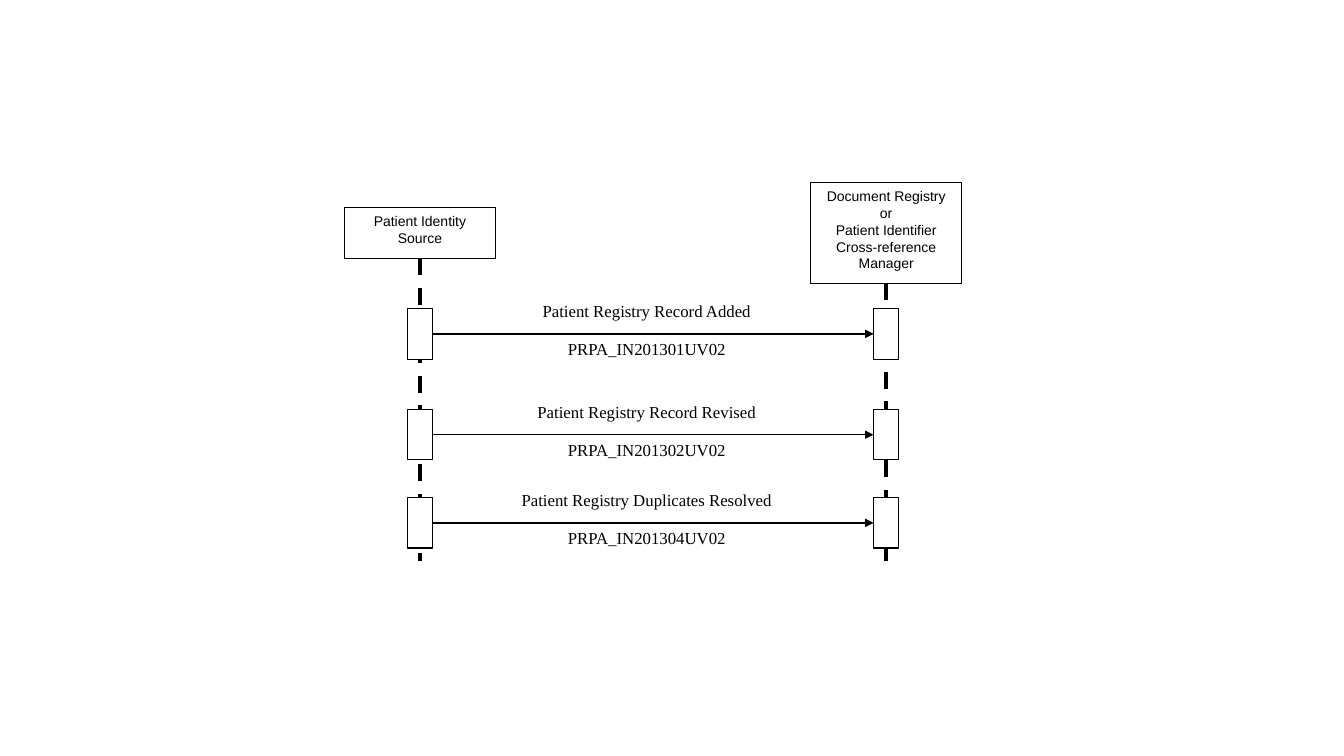
from pptx import Presentation
from pptx.dml.color import RGBColor
from pptx.enum.dml import MSO_LINE
from pptx.enum.shapes import MSO_CONNECTOR, MSO_SHAPE
from pptx.enum.text import MSO_ANCHOR, PP_ALIGN
from pptx.oxml.ns import qn
from pptx.util import Emu, Pt
from lxml import etree

RECT, STRAIGHT = MSO_SHAPE.RECTANGLE, MSO_CONNECTOR.STRAIGHT
DASH, TOP, CENTER = MSO_LINE.DASH, MSO_ANCHOR.TOP, PP_ALIGN.CENTER
LEFT_SIDE, BOTTOM_SIDE, RIGHT_SIDE = 1, 2, 3

COLORS = {"ink": "000000", "paper": "FFFFFF"}
ACTOR_FONT = {"name": "Arial", "size": Pt(10)}
MESSAGE_FONT = {"name": "Times New Roman", "size": Pt(12)}

# Lengths in px, 96 to the inch
ACTOR_W = 144
BAR_W, BAR_H = 24, 48
LABEL_X, LABEL_W, LABEL_H = 460, 312, 36
LIFELINE_END = 534

# Actor: text, lifeline x, top, height
ACTORS = [
    ("Patient Identity Source", 400, 198, 48),
    ("Document Registry or\nPatient Identifier Cross-reference Manager", 844, 174, 96),
]
# Message: bar top, name, interaction id
MESSAGES = [
    (294, "Patient Registry Record Added", "PRPA_IN201301UV02"),
    (390, "Patient Registry Record Revised", "PRPA_IN201302UV02"),
    (474, "Patient Registry Duplicates Resolved", "PRPA_IN201304UV02"),
]


def px(n):
    return Emu(n * 9525)


def color(name):
    return RGBColor.from_string(COLORS[name])


def add_box(slide, x, y, w, h, text="", font=None, outlined=True):
    sp = slide.shapes.add_shape(RECT, px(x), px(y), px(w), px(h))
    sp.shadow.inherit = False
    sp.fill.solid()
    sp.fill.fore_color.rgb = color("paper")
    if outlined:
        sp.line.color.rgb = color("ink")
        sp.line.width = Pt(0.75)
    else:
        sp.line.fill.background()
    if text:
        tf = sp.text_frame
        tf.word_wrap = True
        tf.vertical_anchor = TOP
        p = tf.paragraphs[0]
        p.text = text
        p.alignment = CENTER
        for r in p.runs:
            r.font.color.rgb = color("ink")
            for name, value in font.items():
                setattr(r.font, name, value)
    return sp


def add_line(slide, x1, y1, x2, y2, width):
    line = slide.shapes.add_connector(STRAIGHT, px(x1), px(y1), px(x2), px(y2))
    line.line.color.rgb = color("ink")
    line.line.width = Pt(width)
    etree.SubElement(line._element.spPr, qn("a:effectLst"))
    return line


def add_lifeline(slide, actor, x, top):
    line = add_line(slide, x, top, x, LIFELINE_END, 3)
    line.line.dash_style = DASH
    line.begin_connect(actor, BOTTOM_SIDE)


def add_arrow(slide, source, target, x1, x2, y):
    line = add_line(slide, x1, y, x2, y, 1)
    etree.SubElement(line.line._get_or_add_ln(), qn("a:tailEnd"), type="triangle")
    line.begin_connect(source, RIGHT_SIDE)
    line.end_connect(target, LEFT_SIDE)


def main():
    prs = Presentation()
    prs.slide_width, prs.slide_height = px(1280), px(720)
    slide = prs.slides.add_slide(prs.slide_layouts[6])

    # Actors and their lifelines
    for text, x, top, h in ACTORS:
        actor = add_box(slide, x - ACTOR_W // 2, top, ACTOR_W, h, text, ACTOR_FONT)
        add_lifeline(slide, actor, x, top + h)

    # Messages: activation bars, labels above and below, arrow
    source_x, target_x = [x - BAR_W // 2 for _, x, _, _ in ACTORS]
    for top, name, interaction in MESSAGES:
        source, target = [add_box(slide, x, top, BAR_W, BAR_H)
                          for x in (source_x, target_x)]
        y = top + BAR_H // 2
        for label_y, text in ((y - LABEL_H, name), (y, interaction)):
            add_box(slide, LABEL_X, label_y, LABEL_W, LABEL_H, text,
                    MESSAGE_FONT, outlined=False)
        add_arrow(slide, source, target, source_x + BAR_W, target_x, y)

    prs.save("out.pptx")


if __name__ == "__main__":
    main()
